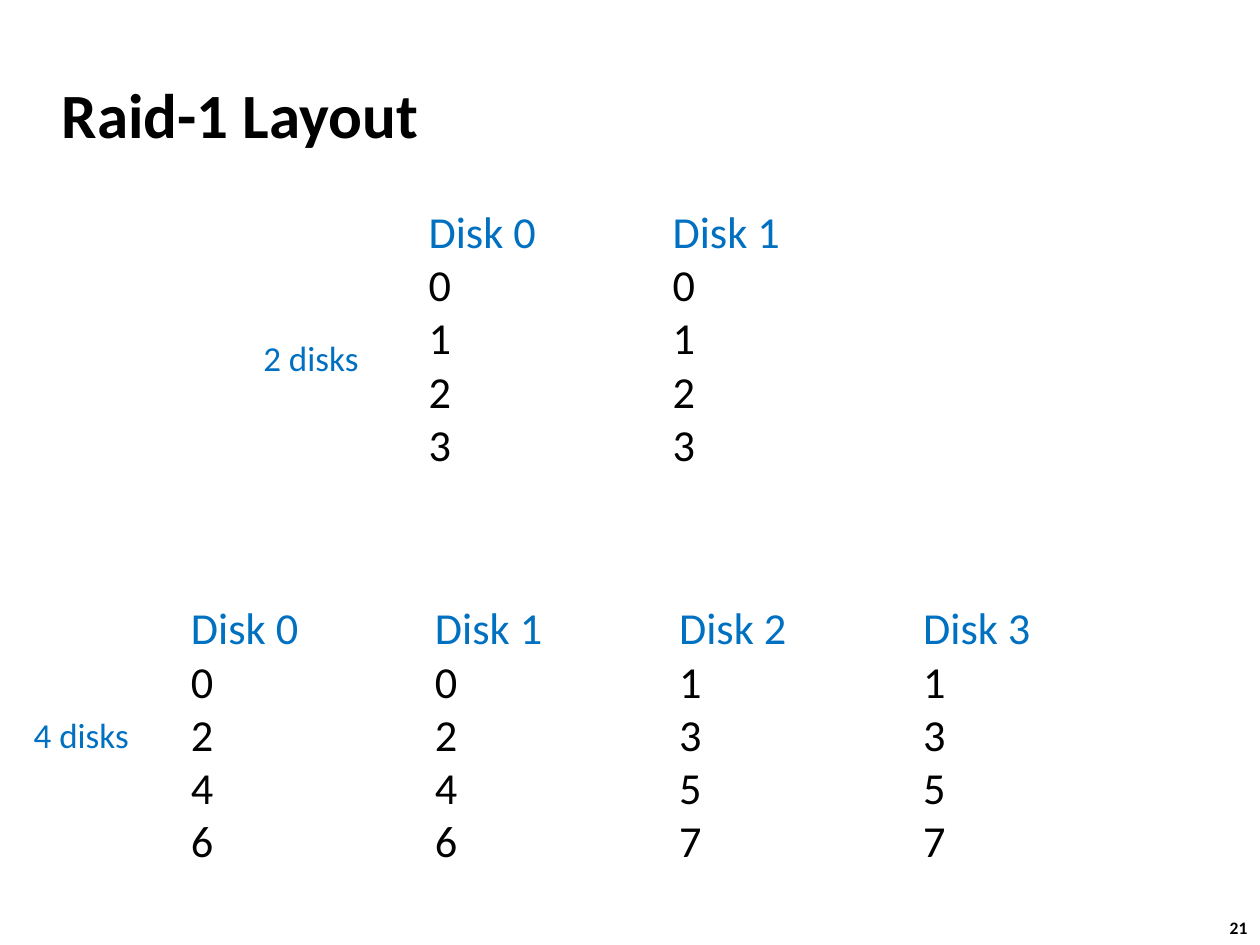
from lxml import etree
from pptx import Presentation
from pptx.dml.color import RGBColor
from pptx.enum import shapes, text
from pptx.oxml.ns import qn
from pptx.util import Cm, Pt

BLACK = RGBColor(0x00, 0x00, 0x00)
BLUE = RGBColor(0x00, 0x70, 0xC0)
WHITE = RGBColor(0xFF, 0xFF, 0xFF)
FONT = "Calibri"

DISK_PITCH = 4.92
DISK_WIDTH, DISK_HEIGHT = 2.18, 5.41
LABEL_WIDTH, LABEL_HEIGHT = 2.46, 1.12
RULE_OUTDENT, RULE_DROP = 0.18, 1.22


def add_run(paragraph, words, size, color, bold=False):
    run = paragraph.add_run()
    run.text = words
    run.font.name = FONT
    run.font.size = Pt(size)
    run.font.bold = bold
    run.font.color.rgb = color


def add_lines(slide, box, lines, size, inset=None, bold=False):
    """Place an unwrapped text box; lines holds (words, color) pairs."""
    frame = slide.shapes.add_textbox(*(Cm(side) for side in box)).text_frame
    frame.word_wrap = False
    frame.auto_size = text.MSO_AUTO_SIZE.SHAPE_TO_FIT_TEXT
    if inset is not None:
        frame.margin_left = frame.margin_right = Cm(inset)
        frame.margin_top = frame.margin_bottom = Cm(inset)
    for row, (words, color) in enumerate(lines):
        paragraph = frame.add_paragraph() if row else frame.paragraphs[0]
        add_run(paragraph, words, size, color, bold)


def add_rule(slide, left, top, width):
    rule = slide.shapes.add_connector(
        shapes.MSO_CONNECTOR.STRAIGHT, Cm(left), Cm(top), Cm(left + width), Cm(top))
    rule.line.color.rgb = WHITE
    rule.line.width = Pt(2)
    etree.SubElement(rule._element.spPr, qn("a:effectLst"))


def place_title(slide, box, words):
    title = slide.shapes.title
    title.left, title.top, title.width, title.height = (Cm(side) for side in box)
    frame = title.text_frame
    frame.vertical_anchor = text.MSO_ANCHOR.MIDDLE
    frame.paragraphs[0].alignment = text.PP_ALIGN.LEFT
    add_run(frame.paragraphs[0], words, 36, BLACK, bold=True)


def add_disk_array(slide, left, top, disks, rule_width, label, label_offset):
    """Place one column of blocks per disk, with the disk count beside them."""
    for number, blocks in enumerate(disks):
        box = (left + number * DISK_PITCH, top, DISK_WIDTH, DISK_HEIGHT)
        lines = [(f"Disk {number}", BLUE)]
        lines += [(str(block), BLACK) for block in blocks]
        add_lines(slide, box, lines, 25.3, inset=0)
    # Rule between the disk names and their blocks
    add_rule(slide, left - RULE_OUTDENT, top + RULE_DROP, rule_width)
    across, down = label_offset
    label_box = (left + across, top + down, LABEL_WIDTH, LABEL_HEIGHT)
    add_lines(slide, label_box, [(label, BLUE)], 20)


def main():
    prs = Presentation()
    prs.slide_width, prs.slide_height = Cm(25.4), Cm(19.05)
    slide = prs.slides.add_slide(prs.slide_layouts[5])

    place_title(slide, (0.99, 1.23, 21.08, 2.11), "Raid-1 Layout")

    # Two disks: both hold every block
    add_disk_array(slide, 8.64, 4.12, [range(4)] * 2, 8.48,
                   "2 disks", (-3.58, 2.53))

    # Four disks: two mirrored pairs, even and odd blocks
    pairs = [range(disk // 2, 8, 2) for disk in range(4)]
    add_disk_array(slide, 3.85, 12.11, pairs, 18.03,
                   "4 disks", (-3.42, 2.14))

    # Page number
    add_lines(slide, (24.54, 18.36, 0.94, 0.69), [("21", BLACK)], 10, bold=True)

    prs.save("out.pptx")


if __name__ == "__main__":
    main()
